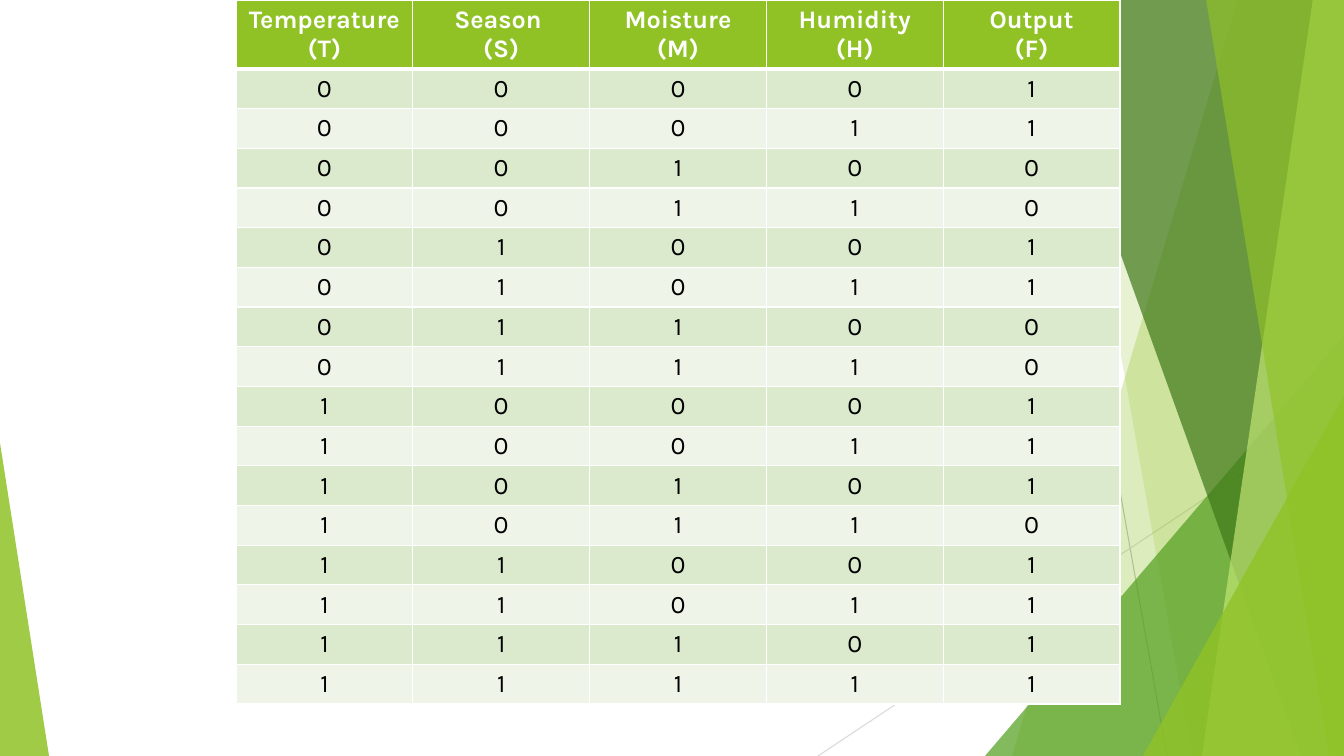
from itertools import product

from lxml import etree
from pptx import Presentation
from pptx import util as u
from pptx.dml.color import RGBColor
from pptx.enum import shapes, text
from pptx.oxml.ns import qn

EMU_PER_PX = 12192000 / 1344
SLIDE_W, SLIDE_H = 1344, 756
FONT = "Karla"
COLORS = {
    "lime": "90C226",
    "green": "54A021",
    "forest": "3F7819",
    "pale": "C0E474",
    "steel": "BFBFBF",
    "mist": "D9D9D9",
    "odd_row": "DBE9CD",
    "even_row": "EEF4E8",
    "white": "FFFFFF",
    "black": "000000",
}
HEADINGS = ["Temperature (T)", "Season \n(S)", "Moisture\n(M)", "Humidity\n(H)", "Output\n(F)"]
OUTPUTS = "1100110011101111"

RAYS = [("steel", (311, 0), (177, 756)), ("mist", (0, 406), (526, 756))]
FACETS = [
    ("slant", "lime", 30, 106, 332),
    ("slant", "lime", 20, 286, 152),
    ("corner", "green", 72, 359, 420),
    ("slant", "forest", 70, 315, 43),
    ("slant", "pale", 70, 31, 142),
    ("slant", "lime", 65, 138, 15),
    ("corner", "lime", 80, 201, 360),
]


def px(length):
    return u.Emu(round(length * EMU_PER_PX))


def rgb(name):
    return RGBColor.from_string(COLORS[name])


def paint(facet, color, opacity):
    facet.shadow.inherit = False
    facet.line.fill.background()
    facet.fill.solid()
    facet.fill.fore_color.rgb = rgb(color)
    tint = facet.fill._xPr.find(qn("a:solidFill"))[0]
    etree.SubElement(tint, qn("a:alpha"), val=str(opacity * 1000))


def add_ray(slide, color, start, end):
    ray = slide.shapes.add_connector(
        shapes.MSO_CONNECTOR.STRAIGHT, *(px(value) for value in start + end))
    ray.line.color.rgb = rgb(color)
    ray.line.width = u.Pt(0.75)
    etree.SubElement(ray._element.spPr, qn("a:effectLst"))


def add_triangle(slide, color, opacity, box, apex):
    triangle = slide.shapes.add_shape(
        shapes.MSO_SHAPE.ISOSCELES_TRIANGLE, *(px(value) for value in box))
    triangle.adjustments[0] = apex
    paint(triangle, color, opacity)


def add_slant(slide, color, opacity, corners):
    outline = slide.shapes.build_freeform(*corners[0], scale=EMU_PER_PX)
    outline.add_line_segments(corners[1:], close=True)
    paint(outline.convert_to_shape(), color, opacity)


def add_right_facets(slide, left, top, width, height):
    right, bottom = left + width, top + height
    for color, start, end in RAYS:
        add_ray(slide, color, *((right - inset, top + drop) for inset, drop in (start, end)))
    for kind, color, opacity, first, second in FACETS:
        if kind == "corner":
            box = (right - first, bottom - second, first, second)
            add_triangle(slide, color, opacity, box, 1)
        else:
            add_slant(slide, color, opacity, [
                (right - first, top - 1), (right, top - 1),
                (right, bottom), (right - second, bottom)])


def add_borders(cell, bottom_pt, top_pt):
    properties = cell._tc.get_or_add_tcPr()
    widths = {"a:lnL": 1, "a:lnR": 1, "a:lnT": top_pt, "a:lnB": bottom_pt}
    for position, (side, width) in enumerate(widths.items()):
        border = etree.Element(qn(side), w=str(u.Pt(width)))
        fill = etree.SubElement(border, qn("a:solidFill"))
        etree.SubElement(fill, qn("a:srgbClr"), val=COLORS["white"])
        properties.insert(position, border)


def fill_cell(cell, label, background, ink, bold):
    cell.text_frame.text = label
    cell.vertical_anchor = text.MSO_ANCHOR.MIDDLE
    cell.margin_top = cell.margin_bottom = px(4)
    cell.fill.solid()
    cell.fill.fore_color.rgb = rgb(background)
    for paragraph in cell.text_frame.paragraphs:
        paragraph.alignment = text.PP_ALIGN.CENTER
        for run in paragraph.runs:
            run.font.name = FONT
            run.font.size = u.Pt(18)
            run.font.bold = bold
            run.font.color.rgb = rgb(ink)


def add_truth_table(slide, left, top, width, height, header_height):
    inputs = product("01", repeat=len(HEADINGS) - 1)
    rows = [HEADINGS] + [[*bits, output] for bits, output in zip(inputs, OUTPUTS)]
    truth = slide.shapes.add_table(
        len(rows), len(HEADINGS), px(left), px(top), px(width), px(height)).table
    for column in truth.columns:
        column.width = px(width / len(HEADINGS))
    for index, labels in enumerate(rows):
        heading = index == 0
        truth.rows[index].height = px(
            header_height if heading else (height - header_height) / len(OUTPUTS))
        background = "lime" if heading else "odd_row" if index % 2 else "even_row"
        for column, label in enumerate(labels):
            cell = truth.cell(index, column)
            fill_cell(cell, label, background, "white" if heading else "black", heading)
            add_borders(cell, 3 if heading else 1, 3 if index == 1 else 1)


def main():
    deck = Presentation()
    deck.slide_width, deck.slide_height = px(SLIDE_W), px(SLIDE_H)
    slide = deck.slides.add_slide(deck.slide_layouts[6])
    add_right_facets(slide, 818, 0, 526, SLIDE_H)
    add_triangle(slide, "lime", 85, (0, 443, 49, 313), 0)
    add_truth_table(slide, 236, 0, 884, 704, 69)
    deck.save("out.pptx")


if __name__ == "__main__":
    main()
